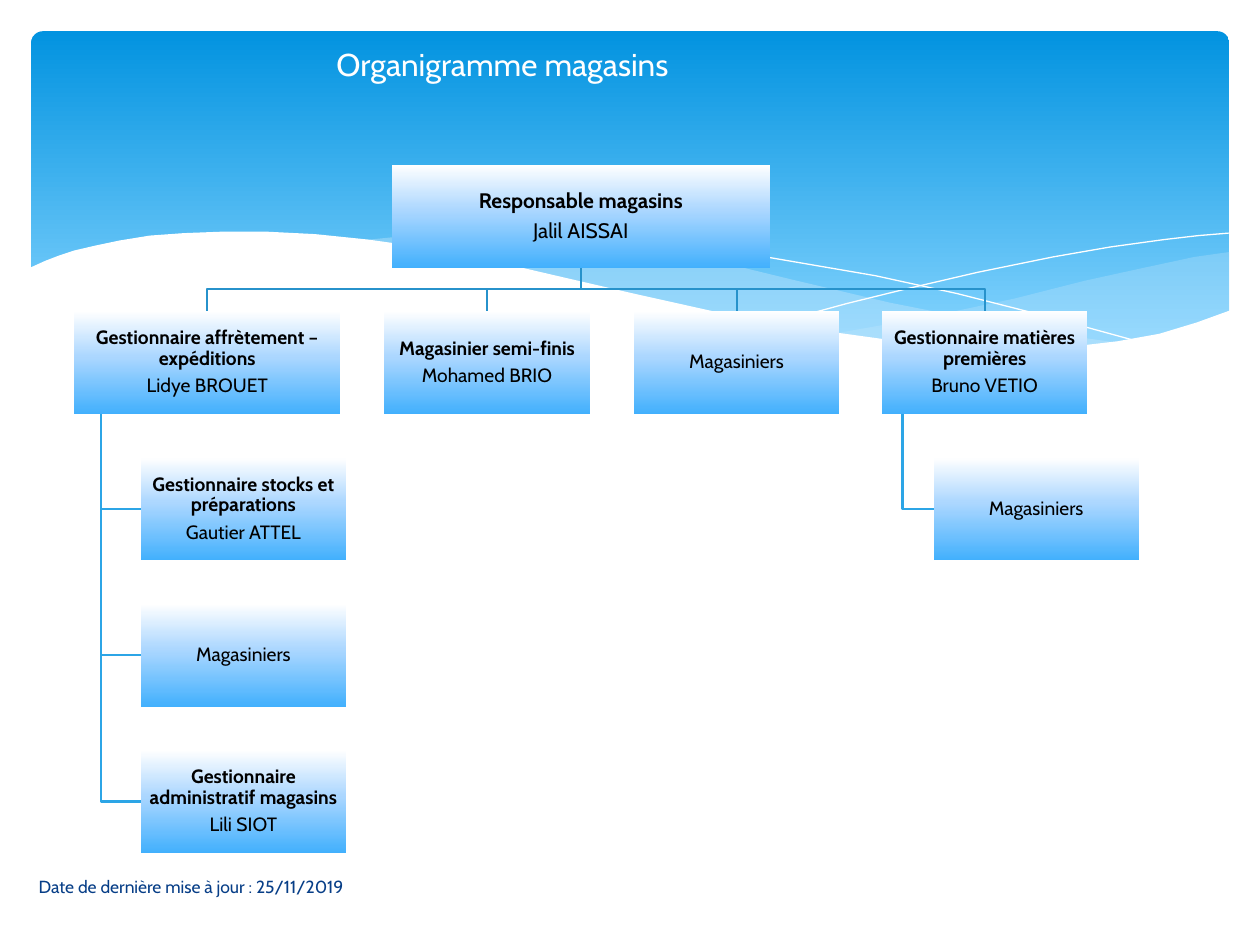
"""Build the warehouse organisation chart slide."""
from copy import deepcopy

from lxml import etree
from pptx import Presentation
from pptx.dml.color import RGBColor
from pptx.enum.shapes import MSO_SHAPE
from pptx.enum.text import MSO_ANCHOR, PP_ALIGN
from pptx.oxml.ns import qn
from pptx.util import Cm, Pt

RECT = MSO_SHAPE.RECTANGLE
ROUND_RECT = MSO_SHAPE.ROUNDED_RECTANGLE
MIDDLE = MSO_ANCHOR.MIDDLE
LEFT, CENTER = PP_ALIGN.LEFT, PP_ALIGN.CENTER

COLORS = {
    "white": "FFFFFF", "black": "000000", "date": "073E87", "wave": "C6E7FC",
    "header_top": "0293E0", "header_bottom": "83D3FE",
    "box_mid": "ACD7FF", "box_bottom": "42B0FD",
    "main_link": "2792CB", "sub_link": "2CA5E6",
}
HEADER_STOPS = [(0, "header_top"), (0.9, "header_bottom")]
BOX_STOPS = [(0, "white"), (0.44, "box_mid"), (1, "box_bottom")]

RIGHT_WAVE = [
    (24.79, 5.08), (24.08, 5.18), (23.01, 5.41), (21.87, 5.66), (20.45, 6.02),
    (19.13, 6.3), (17.93, 6.53), (16.79, 6.73), (17.91, 6.88), (18.92, 6.99),
    (19.84, 7.04), (20.68, 7.06), (21.69, 7.01), (22.58, 6.91), (23.39, 6.73),
    (24.1, 6.53), (24.79, 6.27)]
MIDDLE_WAVE = [
    (22.68, 6.93), (21.26, 6.73), (19.69, 6.45), (17.93, 6.1), (15.98, 5.64),
    (14.83, 5.36), (13.74, 5.16), (12.75, 4.98), (11.81, 4.85), (10.67, 4.75),
    (9.65, 4.7), (8.74, 4.72), (7.95, 4.78), (7.26, 4.85), (8.2, 4.98),
    (9.19, 5.16), (10.26, 5.36), (11.4, 5.64), (13.46, 6.1), (14.83, 6.4),
    (16.1, 6.63), (17.27, 6.81), (18.34, 6.96), (19.33, 7.04), (20.5, 7.06),
    (21.54, 7.04)]
FALLING_LINE = [
    (7.85, 4.95), (8.51, 4.85), (9.5, 4.78), (10.57, 4.75), (11.91, 4.8),
    (13.54, 4.93), (15.44, 5.18), (17.65, 5.56), (19.3, 5.92), (21.11, 6.38),
    (23.04, 6.91)]
RISING_LINE = [
    (15.57, 6.53), (17.07, 6.12), (18.29, 5.82), (19.71, 5.49), (21.23, 5.18),
    (22.38, 4.98), (23.47, 4.83), (24.16, 4.75), (24.77, 4.7)]
WHITE_WAVE = [
    (24.82, 6.25), (24.13, 6.5), (23.37, 6.73), (22.53, 6.88), (21.59, 6.99),
    (20.55, 7.04), (19.33, 6.99), (17.98, 6.86), (16.46, 6.65), (14.71, 6.35),
    (12.78, 5.92), (11.35, 5.59), (9.93, 5.26), (8.64, 5), (7.42, 4.83),
    (6.35, 4.72), (5.36, 4.67), (4.5, 4.67), (3.71, 4.7), (3.02, 4.75),
    (2.41, 4.85), (1.93, 4.95), (1.5, 5.05), (1.17, 5.16), (0.91, 5.26),
    (0.58, 5.41), (0.58, 8.36), (24.82, 8.36)]

BOX_W, BOX_H, TOP, STEP = 4.14, 2.08, 3.32, 2.95
POSTS = [
    ("manager", None, 0, 7.9, 7.62, "Responsable magasins", "Jalil AISSAI"),
    ("freight", "manager", 1, 1.5, 5.36, "Gestionnaire affrètement – expéditions", "Lidye BROUET"),
    ("semi", "manager", 1, 7.75, BOX_W, "Magasinier semi-finis", "Mohamed BRIO"),
    ("staff", "manager", 1, 12.78, BOX_W, "", "Magasiniers"),
    ("raw", "manager", 1, 17.78, BOX_W, "Gestionnaire matières premières", "Bruno VETIO"),
    ("stock", "freight", 2, 2.84, BOX_W, "Gestionnaire stocks et préparations", "Gautier ATTEL"),
    ("stock_staff", "freight", 3, 2.84, BOX_W, "", "Magasiniers"),
    ("admin", "freight", 4, 2.84, BOX_W, "Gestionnaire administratif magasins", "Lili SIOT"),
    ("raw_staff", "raw", 2, 18.82, BOX_W, "", "Magasiniers"),
]

prs = Presentation()
prs.slide_width, prs.slide_height = Cm(25.4), Cm(19.05)
s = prs.slides.add_slide(prs.slide_layouts[6])


def add_text(tf, text, size=11, color="black", bold=False, align=CENTER, spacing=1, after=0):
    p = tf.paragraphs[0]
    if p.runs:
        p = tf.add_paragraph()
    p.alignment, p.line_spacing, p.space_after = align, spacing, Pt(after)
    r = p.add_run()
    r.text = text
    r.font.name, r.font.size, r.font.bold = "Cabin", Pt(size), bold
    r.font.color.rgb = RGBColor.from_string(COLORS[color])


def draw_path(points, fill=None, alpha=100, line=None, width=0):
    pts = [(Cm(x), Cm(y)) for x, y in points]
    fb = s.shapes.build_freeform(*pts[0])
    fb.add_line_segments(pts[1:], close=fill is not None)
    sp = fb.convert_to_shape()
    sp.shadow.inherit = False
    if fill:
        sp.fill.solid()
        sp.fill.fore_color.rgb = RGBColor.from_string(COLORS[fill])
        clr = sp._element.spPr.find(qn("a:solidFill"))[0]
        etree.SubElement(clr, qn("a:alpha")).set("val", str(alpha * 1000))
        sp.line.fill.background()
    else:
        sp.fill.background()
        sp.line.color.rgb = RGBColor.from_string(COLORS[line])
        sp.line.width = Pt(width)


header = s.shapes.add_shape(ROUND_RECT, Cm(0.63), Cm(0.63), Cm(24.15), Cm(6.86))
header.adjustments[0] = 0.034
gradients = [(header, HEADER_STOPS)]

draw_path(RIGHT_WAVE, fill="wave", alpha=29)
draw_path(MIDDLE_WAVE, fill="wave", alpha=40)
draw_path(FALLING_LINE, line="white")
draw_path(RISING_LINE, line="white")
draw_path(WHITE_WAVE, fill="white")

places = {key: (left, TOP + STEP * level, width)
          for key, _, level, left, width, _, _ in POSTS}
for key, parent, level, left, width, _, _ in POSTS[1:]:
    px, py, pw = places[parent]
    top, bottom = places[key][1], py + BOX_H
    if level == 1:
        mid, center, bar = px + pw / 2, left + width / 2, (bottom + top) / 2
        draw_path([(mid, bottom), (mid, bar), (center, bar), (center, top)],
                  line="main_link", width=1.25)
    else:
        spine, row = px + pw / 10, top + BOX_H / 2
        draw_path([(spine, bottom), (spine, row), (left, row)], line="sub_link", width=1.25)

for key, _, level, left, width, role, name in POSTS:
    sp = s.shapes.add_shape(RECT, Cm(left), Cm(places[key][1]), Cm(width), Cm(BOX_H))
    gradients.append((sp, BOX_STOPS))
    tf = sp.text_frame
    tf.word_wrap, tf.vertical_anchor = True, MIDDLE
    tf.margin_left = tf.margin_right = tf.margin_top = tf.margin_bottom = Cm(0.03)
    size = 11 if level else 12
    if role:
        add_text(tf, role, size=size, bold=True, spacing=0.9, after=size * 0.35)
    add_text(tf, name, size=size, spacing=0.9, after=size * 0.35)

for sp, stops in gradients:
    sp.shadow.inherit = False
    sp.line.fill.background()
    sp.fill.gradient()
    sp.fill.gradient_angle = 270
    gs_list = sp._element.spPr.find(qn("a:gradFill")).find(qn("a:gsLst"))
    for _ in stops[2:]:
        gs_list.append(deepcopy(gs_list[0]))
    for stop, (position, color) in zip(sp.fill.gradient_stops, stops):
        stop.position = position
        stop.color.rgb = RGBColor.from_string(COLORS[color])

for left, top, width, height, text, size, color, align in [
        (1.09, 0.58, 18.08, 1.4, "Organigramme magasins", 18, "white", CENTER),
        (0.53, 17.37, 10.52, 1.02, "Date de dernière mise à jour : 25/11/2019", 10, "date", LEFT)]:
    tf = s.shapes.add_textbox(Cm(left), Cm(top), Cm(width), Cm(height)).text_frame
    tf.word_wrap, tf.vertical_anchor = True, MIDDLE
    add_text(tf, text, size=size, color=color, align=align)

prs.save("out.pptx")
